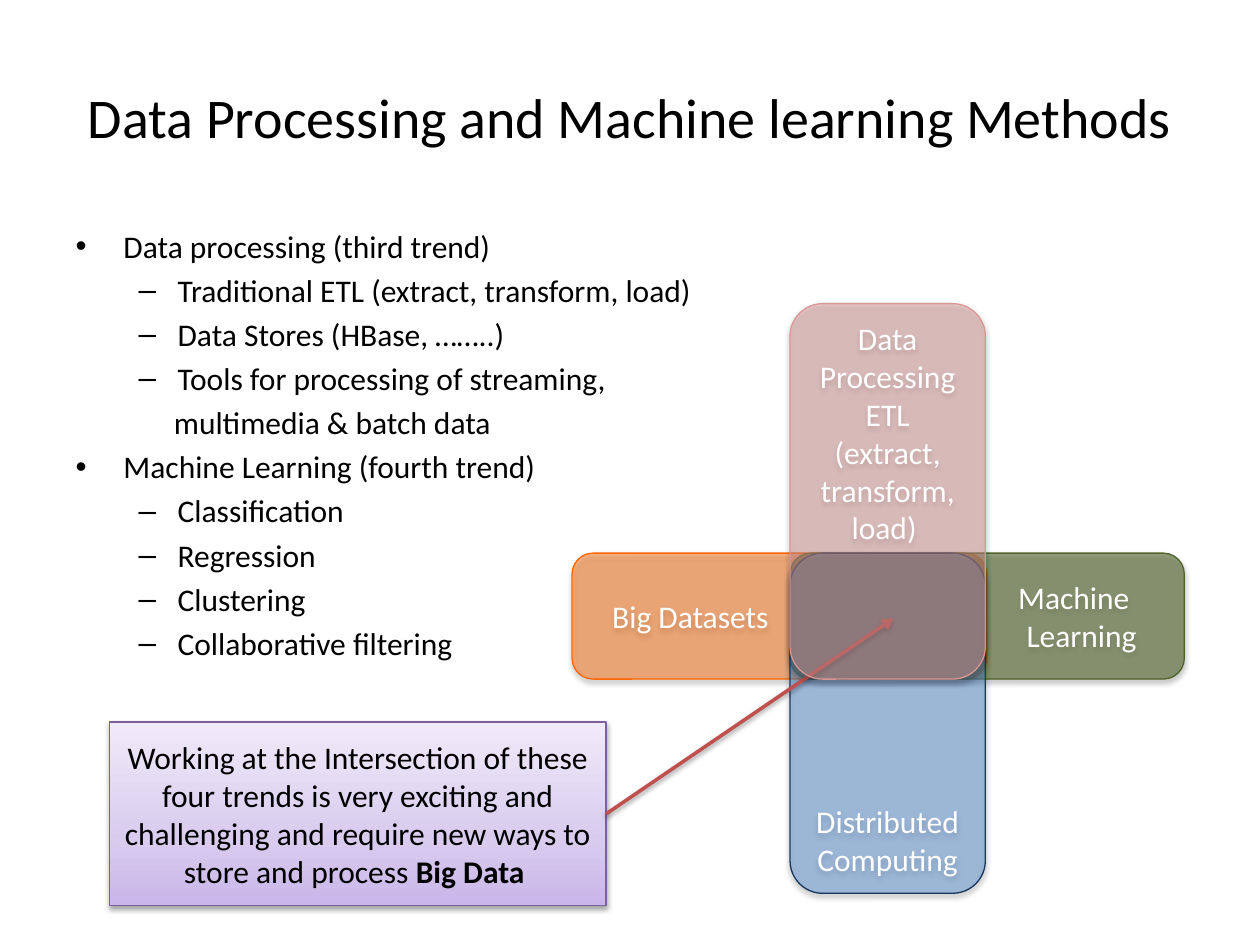
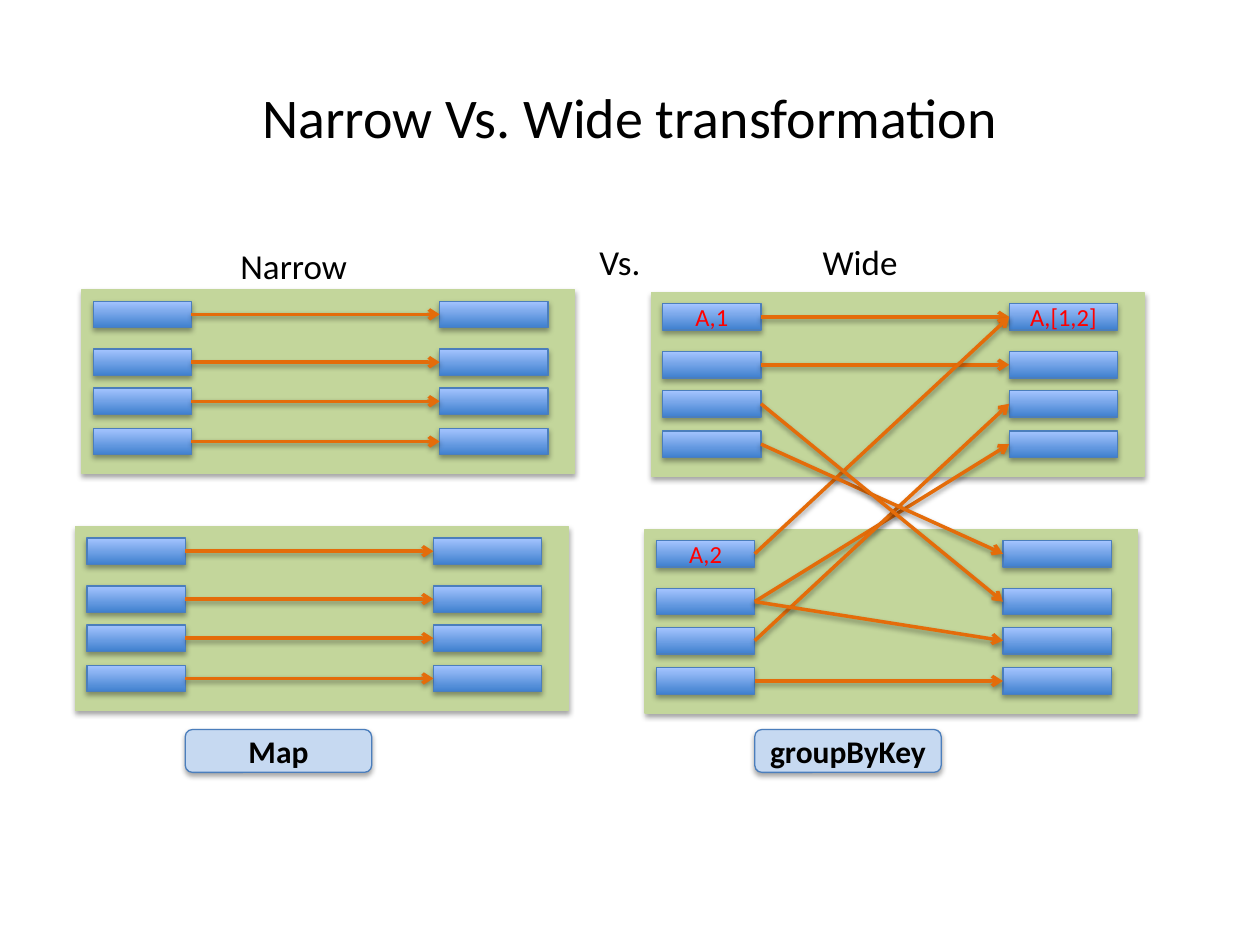
"""Build two slides on big data processing trends and on narrow and wide transformations."""
from copy import deepcopy

from pptx import Presentation
from pptx.dml.color import RGBColor
from pptx.enum.shapes import MSO_CONNECTOR, MSO_SHAPE
from pptx.enum.text import MSO_ANCHOR, PP_ALIGN
from pptx.oxml import parse_xml
from pptx.oxml.ns import nsdecls, qn
from pptx.util import Pt

PX = 9144
FONT = "Calibri"
RECT, ROUNDED = MSO_SHAPE.RECTANGLE, MSO_SHAPE.ROUNDED_RECTANGLE
TREND = MSO_SHAPE.FLOWCHART_ALTERNATE_PROCESS
STRAIGHT = MSO_CONNECTOR.STRAIGHT
TOP, MIDDLE, BOTTOM = MSO_ANCHOR.TOP, MSO_ANCHOR.MIDDLE, MSO_ANCHOR.BOTTOM
LEFT, CENTER, RIGHT = PP_ALIGN.LEFT, PP_ALIGN.CENTER, PP_ALIGN.RIGHT
LEFT_SIDE, RIGHT_SIDE = 1, 3

BLACK = RGBColor(0x00, 0x00, 0x00)
WHITE = RGBColor(0xFF, 0xFF, 0xFF)
RED = RGBColor(0xFF, 0x00, 0x00)
ORANGE = RGBColor(0xFF, 0x66, 0x00)
OLIVE = RGBColor(0x4F, 0x62, 0x28)
BLUE = RGBColor(0x55, 0x8E, 0xD5)
NAVY = RGBColor(0x17, 0x37, 0x5E)
ROSE = RGBColor(0xD9, 0x96, 0x94)
PURPLE = RGBColor(0x7D, 0x60, 0xA0)
BRICK = RGBColor(0xC0, 0x50, 0x4D)
GREEN = RGBColor(0xC3, 0xD6, 0x9B)
PALE_BLUE = RGBColor(0xC6, 0xD9, 0xF1)
STEEL = RGBColor(0x4B, 0x7E, 0xBC)
ARROW = RGBColor(0xE4, 0x6C, 0x0A)
LILAC_BLEND = [(0, RGBColor(0xC9, 0xB5, 0xE8)), (0.35, RGBColor(0xD8, 0xCB, 0xEE)),
               (1, RGBColor(0xF0, 0xEA, 0xF9))]
BLUE_BLEND = [(0, RGBColor(0x3F, 0x80, 0xCE)), (1, RGBColor(0xA4, 0xC4, 0xFF))]

OUTLINE = [
    ("bullet", "Data processing (third trend)"),
    ("dash", "Traditional ETL (extract, transform, load)"),
    ("dash", "Data Stores (HBase, ……..)"),
    ("dash", "Tools for processing of streaming,"),
    ("continued", "multimedia & batch data"),
    ("bullet", "Machine Learning (fourth trend)"),
    ("dash", "Classification"),
    ("dash", "Regression"),
    ("dash", "Clustering"),
    ("dash", "Collaborative filtering"),
]
LIST_STYLES = {"bullet": (0, 38, -38, "•"), "dash": (1, 81, -31, "–"),
               "continued": (1, 78, 0, None)}
ROW_OFFSETS = [9, 47, 78, 110]
NARROW_LINKS = [(row, row) for row in range(8)]
WIDE_LINKS = [(0, 0), (1, 1), (4, 0), (5, 3), (6, 2), (7, 7), (3, 4), (2, 5), (5, 6)]


class SlideBuilder:
    """Holds the deck, the current page and the shared style."""

    def __init__(self):
        self.deck = Presentation()
        self.deck.slide_width, self.deck.slide_height = 1000 * PX, 750 * PX
        self.page = None

    def place(self, box, left, top, width, height):
        box.left, box.top = left * PX, top * PX
        box.width, box.height = width * PX, height * PX

    def style(self, paragraph, size, color, align=None, bold=None):
        paragraph.alignment = align
        for span in paragraph.runs:
            span.font.name, span.font.size = FONT, Pt(size)
            span.font.color.rgb, span.font.bold = color, bold

    def set_text(self, box, text, size, color, align, bold=None):
        box.text_frame.text = text
        for paragraph in box.text_frame.paragraphs:
            self.style(paragraph, size, color, align, bold)

    def add_page(self, layout, title):
        self.page = self.deck.slides.add_slide(self.deck.slide_layouts[layout])
        box = self.page.shapes.title
        self.place(box, 50, 30, 900, 125)
        box.text_frame.vertical_anchor = MIDDLE
        self.set_text(box, title, 32, BLACK, CENTER)

    def add_list(self, items):
        box = self.page.placeholders[1]
        self.place(box, 50, 175, 900, 495)
        box.text_frame.text = "\n".join(text for _, text in items)
        for paragraph, (kind, _) in zip(box.text_frame.paragraphs, items):
            paragraph.level, margin, indent, mark = LIST_STYLES[kind]
            self.style(paragraph, 18, BLACK, LEFT)
            properties = paragraph._p.get_or_add_pPr()
            properties.set("marL", str(margin * PX))
            properties.set("indent", str(indent * PX))
            tag = f'buChar {nsdecls("a")} char="{mark}"' if mark else f'buNone {nsdecls("a")}'
            properties.append(parse_xml(f"<a:{tag}/>"))

    def add_shadow(self, shape, opacity, distance):
        shape._element.spPr.append(parse_xml(
            f'<a:effectLst {nsdecls("a")}><a:outerShdw blurRad="{Pt(3.1)}" '
            f'dist="{Pt(distance)}" dir="5400000" rotWithShape="0"><a:srgbClr val="000000">'
            f'<a:alpha val="{opacity * 1000}"/></a:srgbClr></a:outerShdw></a:effectLst>'))

    def add_box(self, kind, bounds, fill, line, opacity=100, anchor=MIDDLE):
        box = self.page.shapes.add_shape(kind, *(length * PX for length in bounds))
        if isinstance(fill, list):
            self.blend(box, fill)
        else:
            box.fill.solid()
            box.fill.fore_color.rgb = fill
        if opacity < 100:
            color = box._element.spPr.find(qn("a:solidFill"))[0]
            color.append(parse_xml(f'<a:alpha {nsdecls("a")} val="{opacity * 1000}"/>'))
        box.line.color.rgb, box.line.width = line, Pt(0.75)
        box.text_frame.vertical_anchor = anchor
        self.add_shadow(box, 35, 1.8)
        return box

    def blend(self, box, stops):
        box.fill.gradient()
        box.fill.gradient_angle = 90
        stop_list = box._element.spPr.find(".//" + qn("a:gsLst"))
        while len(stop_list) < len(stops):
            stop_list.append(deepcopy(stop_list[0]))
        for stop, (position, color) in zip(box.fill.gradient_stops, stops):
            stop.position, stop.color.rgb = position, color

    def add_arrow(self, source, color, target=None, end=(0, 0)):
        arrow = self.page.shapes.add_connector(STRAIGHT, 0, 0, end[0] * PX, end[1] * PX)
        arrow.begin_connect(source, RIGHT_SIDE)
        if target is not None:
            arrow.end_connect(target, LEFT_SIDE)
        arrow.line.color.rgb, arrow.line.width = color, Pt(2)
        arrow.line._get_or_add_ln().append(
            parse_xml(f'<a:tailEnd {nsdecls("a")} type="arrow"/>'))
        self.add_shadow(arrow, 38, 1.6)

    def add_label(self, left, top, text):
        box = self.page.shapes.add_textbox(left * PX, top * PX, 177 * PX, 44 * PX)
        box.text_frame.word_wrap = True
        self.set_text(box, text, 20, BLACK, LEFT)

    def add_panel(self, left, top):
        self.add_box(RECT, (left, top, 391, 146), GREEN, GREEN)
        return [[self.add_box(RECT, (left + shift, top + offset, width, 21), BLUE_BLEND, STEEL)
                 for shift, width in ((9, 78), (284, 86))] for offset in ROW_OFFSETS]

    def add_transformation(self, corners, links, name, name_left):
        pairs = [pair for corner in corners for pair in self.add_panel(*corner)]
        for source, target in links:
            self.add_arrow(pairs[source][0], ARROW, pairs[target][1])
        box = self.add_box(ROUNDED, (name_left, 579, 148, 34), PALE_BLUE, STEEL)
        box.text_frame.margin_left = box.text_frame.margin_right = 5 * PX
        self.set_text(box, name, 18, BLACK, CENTER, True)
        return pairs


def build_trends(builder):
    builder.add_page(1, "Data Processing and Machine learning Methods")
    builder.add_list(OUTLINE)
    datasets = builder.add_box(TREND, (454, 439, 329, 100), ORANGE, ORANGE, 45)
    datasets.text_frame.margin_left = 27 * PX
    builder.set_text(datasets, "Big Datasets", 18, WHITE, LEFT)
    learning = builder.add_box(TREND, (627, 439, 313, 100), OLIVE, OLIVE, 57)
    learning.text_frame.margin_right = 33 * PX
    builder.set_text(learning, "Machine \nLearning", 18, WHITE, RIGHT)
    computing = builder.add_box(TREND, (627, 439, 155, 270), BLUE, NAVY, 45, BOTTOM)
    builder.set_text(computing, "Distributed Computing", 18, WHITE, CENTER)

    summary = builder.add_box(RECT, (87, 573, 394, 146), LILAC_BLEND, PURPLE)
    builder.set_text(summary, "Working at the Intersection of these four trends is very exciting "
                     "and challenging and require new ways to store and process ",
                     18, BLACK, CENTER)
    paragraph = summary.text_frame.paragraphs[0]
    span = paragraph.add_run()
    span.text = "Big Data "
    builder.style(paragraph, 18, BLACK, CENTER)
    span.font.bold = True
    builder.add_arrow(summary, BRICK, end=(709, 491))

    processing = builder.add_box(TREND, (627, 241, 155, 298), ROSE, ROSE, 45, TOP)
    builder.set_text(processing, "Data Processing ETL (extract, transform, load) ",
                     18, WHITE, CENTER)


def build_transformations(builder):
    builder.add_page(5, "Narrow Vs. Wide transformation")
    builder.add_transformation([(65, 230), (60, 418)], NARROW_LINKS, "Map", 147)
    pairs = builder.add_transformation([(517, 232), (512, 420)], WIDE_LINKS, "groupByKey", 599)
    for row, side, text in ((0, 0, "A,1"), (0, 1, "A,[1,2]"), (4, 0, "A,2")):
        builder.set_text(pairs[row][side], text, 14, RED, CENTER)
    for left, top, text in ((181, 189, "Narrow"), (466, 186, "Vs."), (643, 186, "Wide")):
        builder.add_label(left, top, text)


def main():
    builder = SlideBuilder()
    build_trends(builder)
    build_transformations(builder)
    builder.deck.save("out.pptx")


if __name__ == "__main__":
    main()
